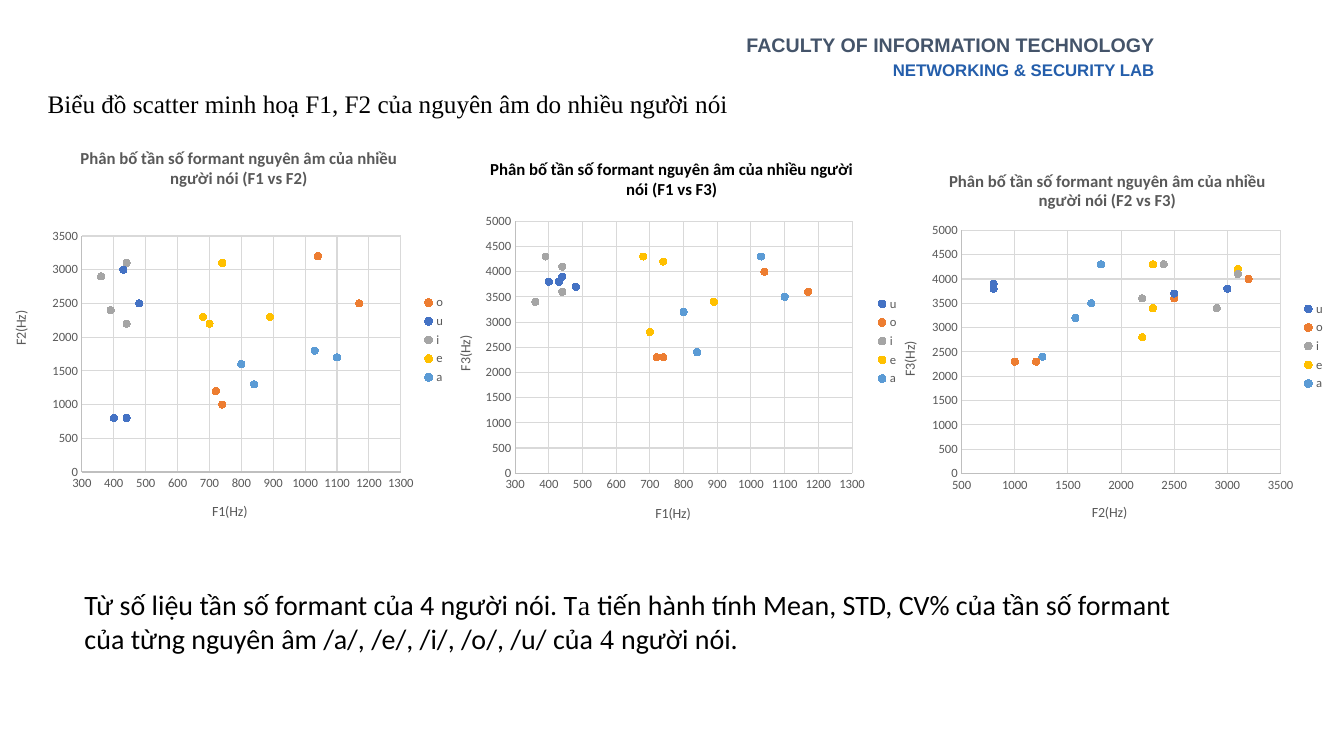
import pptx
import pptx.chart.data
import pptx.dml.color
import pptx.enum.chart
import pptx.enum.text
import pptx.oxml
import pptx.oxml.ns
import pptx.util

Cm, Pt = pptx.util.Cm, pptx.util.Pt
RGB = pptx.dml.color.RGBColor
ALIGN = pptx.enum.text.PP_ALIGN

BLACK = RGB(0x00, 0x00, 0x00)
SLATE = RGB(0x44, 0x54, 0x6A)
NAVY = RGB(0x24, 0x5E, 0xAB)
GREY = RGB(0x59, 0x59, 0x59)
RULE = RGB(0xBF, 0xBF, 0xBF)
GRID = RGB(0xD9, 0xD9, 0xD9)
COLORS = {
    "u": RGB(0x44, 0x72, 0xC4),
    "o": RGB(0xED, 0x7D, 0x31),
    "i": RGB(0xA5, 0xA5, 0xA5),
    "e": RGB(0xFF, 0xC0, 0x00),
    "a": RGB(0x5B, 0x9B, 0xD5),
}

# Formants of each vowel in Hz: one (F1, F2, F3) per speaker
VOWELS = {
    "u": [(480, 2500, 3700), (440, 800, 3900), (430, 3000, 3800), (400, 800, 3800)],
    "o": [(740, 1000, 2300), (1040, 3200, 4000), (1170, 2500, 3600), (720, 1200, 2300)],
    "i": [(440, 2200, 3600), (440, 3100, 4100), (360, 2900, 3400), (390, 2400, 4300)],
    "e": [(700, 2200, 2800), (740, 3100, 4200), (890, 2300, 3400), (680, 2300, 4300)],
    "a": [(840, 1260, 2400), (800, 1570, 3200), (1100, 1720, 3500), (1030, 1810, 4300)],
}
F1_SCALE = (300, 1300, 100)
F2_SCALE = (500, 3500, 500)


def style(font, size, color, face="Calibri", bold=False):
    font.size, font.name, font.bold = Pt(size), face, bold
    font.color.rgb = color


def write(par, text, size=20, color=BLACK, face="Calibri", bold=False,
          align=None, before=None):
    """Add one run to a paragraph."""
    run = par.add_run()
    run.text = text
    style(run.font, size, color, face, bold)
    if align is not None:
        par.alignment = align
    if before is not None:
        par.space_before = Pt(before)


def add_box(slide, left, top, width, height, wrap=True):
    box = slide.shapes.add_textbox(Cm(left), Cm(top), Cm(width), Cm(height))
    box.text_frame.word_wrap = wrap
    return box.text_frame


def place(part, index, **spots):
    """Fix the position of a chart part, in fractions of the chart."""
    old = part.find(pptx.oxml.ns.qn("c:layout"))
    if old is not None:
        part.remove(old)
    inner = '<c:layoutTarget val="inner"/>' if "w" in spots else ""
    modes = "".join(f'<c:{key}Mode val="edge"/>' for key in "xy")
    sizes = "".join(f'<c:{key} val="{val}"/>' for key, val in spots.items())
    part.insert(index, pptx.oxml.parse_xml(
        f'<c:layout {pptx.oxml.ns.nsdecls("c")}><c:manualLayout>'
        f'{inner}{modes}{sizes}</c:manualLayout></c:layout>'))


def set_axis(axis, name, scale, x, y, turn=0):
    axis.minimum_scale, axis.maximum_scale, axis.major_unit = scale
    axis.major_tick_mark = pptx.enum.chart.XL_TICK_MARK.NONE
    axis.minor_tick_mark = pptx.enum.chart.XL_TICK_MARK.NONE
    style(axis.tick_labels.font, 9, GREY)
    axis.has_major_gridlines = True
    for line, color in ((axis.format.line, RULE),
                        (axis.major_gridlines.format.line, GRID)):
        line.color.rgb = color
        line.width = Pt(0.75)
    title = axis.axis_title
    frame = title.text_frame
    write(frame.paragraphs[0], f"{name}(Hz)", size=10, color=GREY)
    frame._txBody.bodyPr.set("rot", str(turn * 60000))
    place(title._element, 1, x=x, y=y)


def add_plot(slide, box, pair, order, scale, top, area, label, color=GREY, spot=None):
    """Scatter one formant against another, a series per vowel."""
    data = pptx.chart.data.XyChartData(number_format="General")
    for vowel in order:
        row = data.add_series(vowel)
        for voice in VOWELS[vowel]:
            row.add_data_point(voice[pair[0] - 1], round(voice[pair[1] - 1], -2))
    chart = slide.shapes.add_chart(
        pptx.enum.chart.XL_CHART_TYPE.XY_SCATTER, *map(Cm, box), data).chart
    style(chart.font, 10, BLACK)
    plot = chart.plots[0]
    plot.vary_by_categories = False

    # Markers
    for row in plot.series:
        tint = COLORS[row.name]
        row.smooth = False
        row.format.line.fill.background()
        row.marker.style = pptx.enum.chart.XL_MARKER_STYLE.CIRCLE
        row.marker.size = 5
        row.marker.format.fill.solid()
        row.marker.format.fill.fore_color.rgb = tint
        row.marker.format.line.color.rgb = tint

    # Title, axes and legend
    first, second = (f"F{num}" for num in pair)
    chart.has_title = True
    write(chart.chart_title.text_frame.paragraphs[0],
          f"Phân bố tần số formant nguyên âm của nhiều người nói ({first} vs {second})",
          size=12, color=color, bold=True)
    chart.chart_title.include_in_layout = False
    if spot:
        place(chart.chart_title._element, 1, x=spot[0], y=spot[1])
    set_axis(chart.category_axis, first, scale, 0.46, 0.9)
    set_axis(chart.value_axis, second, (0, top, 500), *label, turn=-90)
    chart.has_legend = True
    chart.legend.position = pptx.enum.chart.XL_LEGEND_POSITION.RIGHT
    chart.legend.include_in_layout = False
    style(chart.legend.font, 9, GREY)
    place(chart._chartSpace.chart.plotArea, 0, **dict(zip("xywh", area)))


def main():
    deck = pptx.Presentation()
    deck.slide_width, deck.slide_height = Cm(33.87), Cm(19.05)
    slide = deck.slides.add_slide(deck.slide_layouts[6])

    # Header
    head = add_box(slide, 17.87, 0.71, 11.48, 1.45)
    write(head.paragraphs[0], "FACULTY OF INFORMATION TECHNOLOGY", size=14,
          color=SLATE, face="Arial", bold=True, align=ALIGN.RIGHT)
    write(head.add_paragraph(), "NETWORKING & SECURITY LAB", size=12,
          color=NAVY, face="Arial", bold=True, align=ALIGN.RIGHT, before=2)

    # Heading
    lead = add_box(slide, 0.95, 2.1, 17.81, 1.02, wrap=False)
    write(lead.paragraphs[0],
          "Biểu đồ scatter minh hoạ F1, F2 của nguyên âm do nhiều người nói",
          size=18, face="Times New Roman")

    # Charts
    add_plot(slide, (0, 3.53, 11.48, 10.08), (1, 2), "ouiea", F1_SCALE, 3500,
             (0.18, 0.24, 0.7, 0.59), (0.02, 0.42), spot=(0.17, 0.01))
    add_plot(slide, (10.95, 3.56, 11.96, 10.08), (1, 3), "uoiea", F1_SCALE, 5000,
             (0.17, 0.2, 0.71, 0.63), (0.04, 0.48), color=BLACK)
    add_plot(slide, (22.17, 3.86, 11.48, 9.73), (2, 3), "uoiea", F2_SCALE, 5000,
             (0.18, 0.2, 0.7, 0.63), (0.04, 0.48))

    # Closing note
    note = add_box(slide, 1.88, 14.68, 28.91, 1.96).paragraphs[0]
    write(note, "Từ số liệu tần số formant của 4 người nói. T")
    write(note, "a ", face="Times New Roman")
    write(note, "tiến hành tính Mean, STD, CV% của tần số formant "
                "của từng nguyên âm /a/, /e/, /i/, /o/, /u/ của ")
    write(note, "4 ", face="Times New Roman")
    write(note, "người nói.")

    deck.save("out.pptx")


if __name__ == "__main__":
    main()
